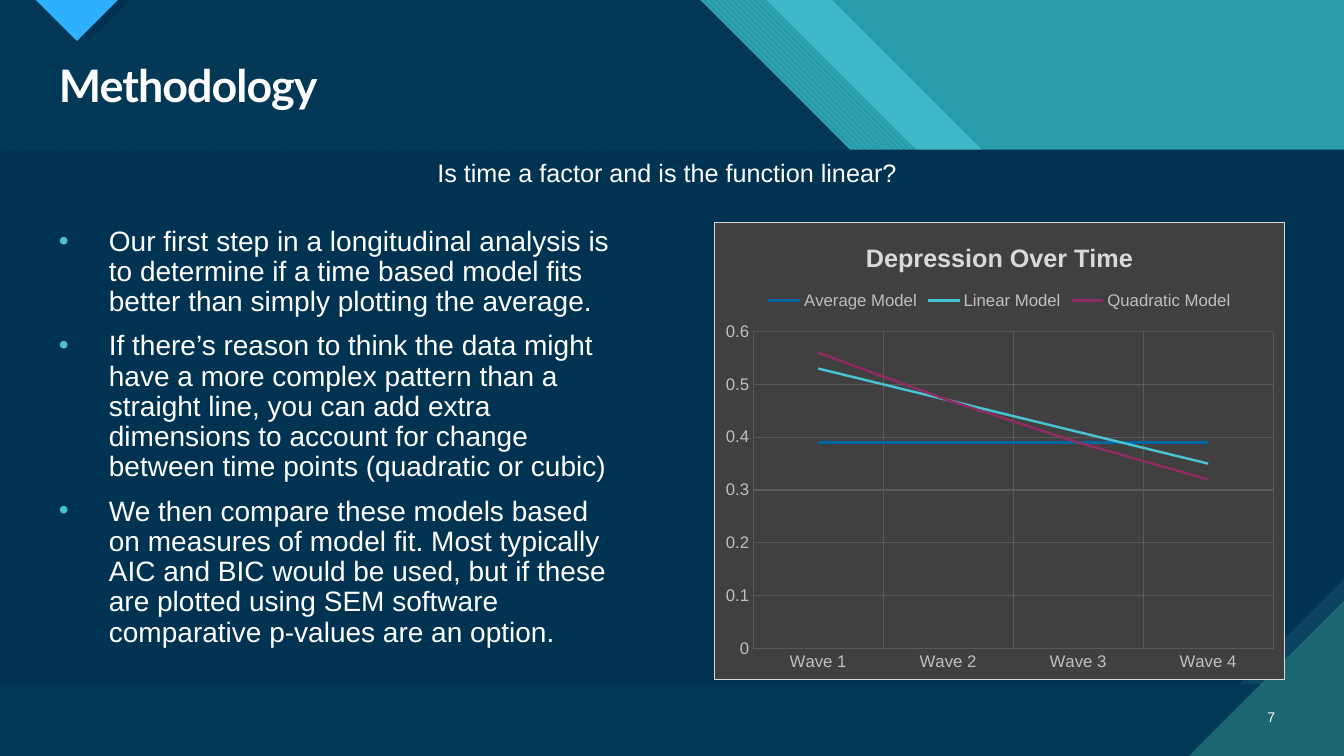
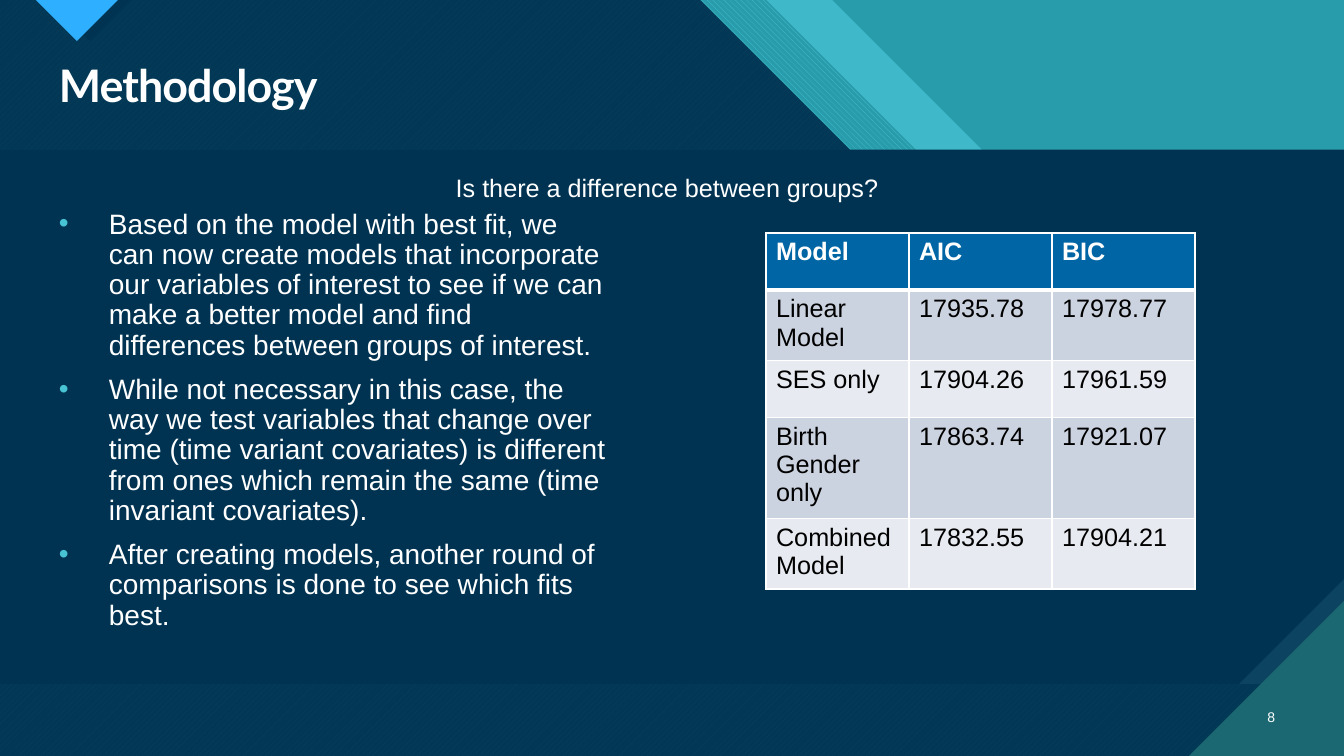
from lxml import etree
from pptx import Presentation
from pptx.chart.data import CategoryChartData
from pptx.dml.color import RGBColor
from pptx.enum.chart import XL_CHART_TYPE, XL_LEGEND_POSITION as LEGEND, XL_TICK_MARK as TICK
from pptx.enum.dml import MSO_PATTERN as PATTERN
from pptx.enum.shapes import MSO_SHAPE as SHAPE
from pptx.enum.text import MSO_ANCHOR as ANCHOR, PP_ALIGN as ALIGN
from pptx.oxml import parse_xml
from pptx.oxml.ns import nsdecls, qn
from pptx.util import Emu, Pt

WIDTH, HEIGHT = 1344, 756
SCALE = 914400 / 100.8
BAND_TOP, BAND_BOTTOM = 150, 684
LEFT, CONTENT_W = 49, 1236

WHITE = RGBColor(0xFF, 0xFF, 0xFF)
BLACK = RGBColor(0x00, 0x00, 0x00)
NAVY = RGBColor(0x00, 0x33, 0x52)
SLATE = RGBColor(0x0C, 0x43, 0x60)
TEAL = RGBColor(0x29, 0x9C, 0xAB)
AQUA = RGBColor(0x47, 0xC3, 0xD3)
SOFT_AQUA = RGBColor(0x3F, 0xB9, 0xC9)
DARK_TEAL = RGBColor(0x1B, 0x68, 0x72)
SKY = RGBColor(0x2F, 0xAF, 0xFF)
BLUE = RGBColor(0x00, 0x65, 0xA4)
PLUM = RGBColor(0x8F, 0x2D, 0x63)
CHARCOAL = RGBColor(0x40, 0x40, 0x40)
GRID = RGBColor(0x59, 0x59, 0x59)
SILVER = RGBColor(0xBF, 0xBF, 0xBF)
PALE = RGBColor(0xD9, 0xD9, 0xD9)
ROW_DARK = RGBColor(0xCC, 0xD3, 0xE0)
ROW_LIGHT = RGBColor(0xE7, 0xEA, 0xF0)


def px(n):
    return Emu(round(n * SCALE))


def set_font(font, size, color, bold=False, name="Arial"):
    font.size, font.bold, font.name = Pt(size), bold, name
    font.color.rgb = color


def write(tf, paragraphs, size=18, color=WHITE, bold=False, name="Arial", align=ALIGN.LEFT,
          line=None, before=0, tracking=None, bullet=None):
    """Fill a text frame, one paragraph for each string."""
    tf.word_wrap = True
    for i, text in enumerate(paragraphs):
        p = tf.paragraphs[0] if i == 0 else tf.add_paragraph()
        p.alignment, p.line_spacing, p.space_before = align, line, Pt(before)
        r = p.add_run()
        r.text = text
        set_font(r.font, size, color, bold, name)
        if tracking is not None:
            r.font._element.set("spc", str(round(tracking * 100)))
        if bullet is not None:
            add_bullet(p, bullet)


def add_bullet(p, color):
    pPr = p._p.get_or_add_pPr()
    pPr.set("marL", str(px(50)))
    pPr.set("indent", str(-px(50)))
    buClr = etree.SubElement(pPr, qn("a:buClr"))
    etree.SubElement(buClr, qn("a:srgbClr"), val=str(color))
    etree.SubElement(pPr, qn("a:buFont"), typeface="Arial")
    etree.SubElement(pPr, qn("a:buChar"), char="•")


def set_borders(cell, top, bottom):
    """Give a cell white borders; top and bottom are widths in points."""
    tcPr = cell._tc.get_or_add_tcPr()
    for side, width in (("L", 1), ("R", 1), ("T", top), ("B", bottom)):
        ln = etree.SubElement(tcPr, qn(f"a:ln{side}"), w=str(Pt(width)))
        solid = etree.SubElement(ln, qn("a:solidFill"))
        etree.SubElement(solid, qn("a:srgbClr"), val=str(WHITE))


class Deck:
    """Holds the presentation, its style and the current slide."""

    def __init__(self):
        self.prs = Presentation()
        self.prs.slide_width, self.prs.slide_height = px(WIDTH), px(HEIGHT)
        self.s = None

    def new_slide(self, title, number):
        self.s = self.prs.slides.add_slide(self.prs.slide_layouts[6])
        self.backdrop()
        self.text([title], LEFT, 59, CONTENT_W, 59, size=32, bold=True, name="Lato",
                  line=0.9, tracking=-0.7)
        self.text([str(number)], 1241, 697, 44, 40, anchor=ANCHOR.MIDDLE, size=10,
                  align=ALIGN.RIGHT)

    def paint(self, sp, color, alpha=None, pattern=None, back=None):
        sp.shadow.inherit = False
        sp.line.fill.background()
        if pattern is not None:
            sp.fill.patterned()
            sp.fill.pattern = pattern
            sp.fill.fore_color.rgb, sp.fill.back_color.rgb = color, back
            return
        sp.fill.solid()
        sp.fill.fore_color.rgb = color
        if alpha is not None:
            clr = sp._element.spPr.find(qn("a:solidFill"))[0]
            etree.SubElement(clr, qn("a:alpha"), val=str(alpha * 1000))

    def rect(self, x, y, w, h, color):
        sp = self.s.shapes.add_shape(SHAPE.RECTANGLE, px(x), px(y), px(w), px(h))
        self.paint(sp, color)

    def polygon(self, points, color, **fill):
        builder = self.s.shapes.build_freeform(*points[0], scale=SCALE)
        builder.add_line_segments(points[1:], close=True)
        self.paint(builder.convert_to_shape(), color, **fill)

    def stripe(self, x, w, color, **fill):
        """Draw a slanted stripe across the title band."""
        self.polygon([(x, 0), (x + w, 0), (x + w + BAND_TOP, BAND_TOP), (x + BAND_TOP, BAND_TOP)],
                     color, **fill)

    def backdrop(self):
        edge, step, snip, corner = 700, 66, 105, 155
        self.rect(0, 0, WIDTH, HEIGHT, TEAL)
        self.stripe(edge + step, step, SOFT_AQUA)
        self.stripe(edge, step, AQUA, pattern=PATTERN.WIDE_DOWNWARD_DIAGONAL, back=TEAL)
        panel = [(0, 0), (edge, 0), (edge + BAND_TOP, BAND_TOP), (WIDTH, BAND_TOP),
                 (WIDTH, HEIGHT), (0, HEIGHT)]
        self.polygon(panel, AQUA, pattern=PATTERN.WIDE_UPWARD_DIAGONAL, back=DARK_TEAL)
        self.polygon(panel, NAVY, alpha=90)
        for x, color in ((49, NAVY), (36, SKY)):
            self.polygon([(x, 0), (x + 82, 0), (x + 41, 41)], color)
        self.rect(0, BAND_TOP, WIDTH, BAND_BOTTOM - BAND_TOP, SLATE)
        self.polygon([(0, BAND_TOP), (WIDTH, BAND_TOP), (WIDTH, BAND_BOTTOM - snip),
                      (WIDTH - snip, BAND_BOTTOM), (0, BAND_BOTTOM)], NAVY)
        self.polygon([(WIDTH - corner, HEIGHT), (WIDTH, HEIGHT), (WIDTH, HEIGHT - corner)],
                     DARK_TEAL)

    def text(self, paragraphs, x, y, w, h, anchor=ANCHOR.TOP, **style):
        tf = self.s.shapes.add_textbox(px(x), px(y), px(w), px(h)).text_frame
        tf.vertical_anchor = anchor
        write(tf, paragraphs, **style)

    def question(self, text, y):
        self.text([text], LEFT, y, CONTENT_W, 40, align=ALIGN.CENTER)

    def bullets(self, items, y, h):
        self.text(items, LEFT, y, 571, h, size=20, line=0.9, before=10, bullet=AQUA)

    def line_chart(self, title, categories, series, x, y, w, h):
        """Draw lines; series holds (name, values, colour) rows."""
        data = CategoryChartData()
        data.categories = categories
        for name, values, _ in series:
            data.add_series(name, values)
        chart = self.s.shapes.add_chart(XL_CHART_TYPE.LINE, px(x), px(y), px(w), px(h), data).chart
        set_font(chart.font, 12, SILVER)
        chart.has_title = True
        r = chart.chart_title.text_frame.paragraphs[0].add_run()
        r.text = title
        set_font(r.font, 18, PALE, bold=True)
        chart.has_legend = True
        chart.legend.position = LEGEND.TOP
        chart.legend.include_in_layout = False
        set_font(chart.legend.font, 12, SILVER)
        for axis in (chart.category_axis, chart.value_axis):
            axis.major_tick_mark = axis.minor_tick_mark = TICK.NONE
            axis.has_major_gridlines = True
            axis.major_gridlines.format.line.color.rgb = GRID
            axis.major_gridlines.format.line.width = Pt(0.75)
            axis.format.line.fill.background()
            set_font(axis.tick_labels.font, 12, SILVER)
        chart.value_axis.minimum_scale, chart.value_axis.maximum_scale = 0, 0.6
        chart.value_axis.major_unit = 0.1
        plot = chart.plots[0]
        plot.vary_by_categories = False
        for line, (_, _, color) in zip(plot.series, series):
            line.smooth = False
            line.format.line.color.rgb = color
            line.format.line.width = Pt(1.75)
        chart._chartSpace.find(qn("c:chart")).addnext(parse_xml(
            f'<c:spPr {nsdecls("c", "a")}>'
            f'<a:solidFill><a:srgbClr val="{CHARCOAL}"/></a:solidFill>'
            f'<a:ln w="{Pt(0.75)}"><a:solidFill><a:srgbClr val="{PALE}"/></a:solidFill></a:ln>'
            '</c:spPr>'))

    def table(self, rows, x, y, col_w, row_h):
        n_rows, n_cols = len(rows), len(rows[0])
        table = self.s.shapes.add_table(n_rows, n_cols, px(x), px(y), px(col_w * n_cols),
                                        px(row_h * n_rows)).table
        table.horz_banding = False
        for i, row in enumerate(rows):
            head = i == 0
            fill = BLUE if head else (ROW_LIGHT, ROW_DARK)[i % 2]
            for j, text in enumerate(row):
                cell = table.cell(i, j)
                set_borders(cell, top=3 if i == 1 else 1, bottom=3 if head else 1)
                cell.fill.solid()
                cell.fill.fore_color.rgb = fill
                write(cell.text_frame, [text], color=WHITE if head else BLACK, bold=head)


def main():
    deck = Deck()

    deck.new_slide("Methodology", 7)
    deck.bullets([
        "Our first step in a longitudinal analysis is to determine if a time based model fits "
        "better than simply plotting the average.",
        "If there’s reason to think the data might have a more complex pattern than a straight "
        "line, you can add extra dimensions to account for change between time points "
        "(quadratic or cubic)",
        "We then compare these models based on measures of model fit. Most typically AIC and BIC "
        "would be used, but if these are plotted using SEM software comparative p-values are "
        "an option.",
    ], 222, 458)
    deck.line_chart("Depression Over Time", [f"Wave {n}" for n in range(1, 5)], [
        ("Average Model", (0.39, 0.39, 0.39, 0.39), BLUE),
        ("Linear Model", (0.53, 0.47, 0.41, 0.35), AQUA),
        ("Quadratic Model", (0.56, 0.47, 0.39, 0.32), PLUM),
    ], 714, 222, 571, 458)
    deck.question("Is time a factor and is the function linear?", 152)

    deck.new_slide("Methodology", 8)
    deck.bullets([
        "Based on the model with best fit, we can now create models that incorporate our "
        "variables of interest to see if we can make a better model and find differences "
        "between groups of interest.",
        "While not necessary in this case, the way we test variables that change over time "
        "(time variant covariates) is different from ones which remain the same (time invariant "
        "covariates).",
        "After creating models, another round of comparisons is done to see which fits best.",
    ], 205, 477)
    deck.table([
        ("Model", "AIC", "BIC"),
        ("Linear Model", "17935.78", "17978.77"),
        ("SES only", "17904.26", "17961.59"),
        ("Birth Gender only", "17863.74", "17921.07"),
        ("Combined Model", "17832.55", "17904.21"),
    ], 766, 233, 143, 57)
    deck.question("Is there a difference between groups?", 167)

    deck.prs.save("out.pptx")


if __name__ == "__main__":
    main()
